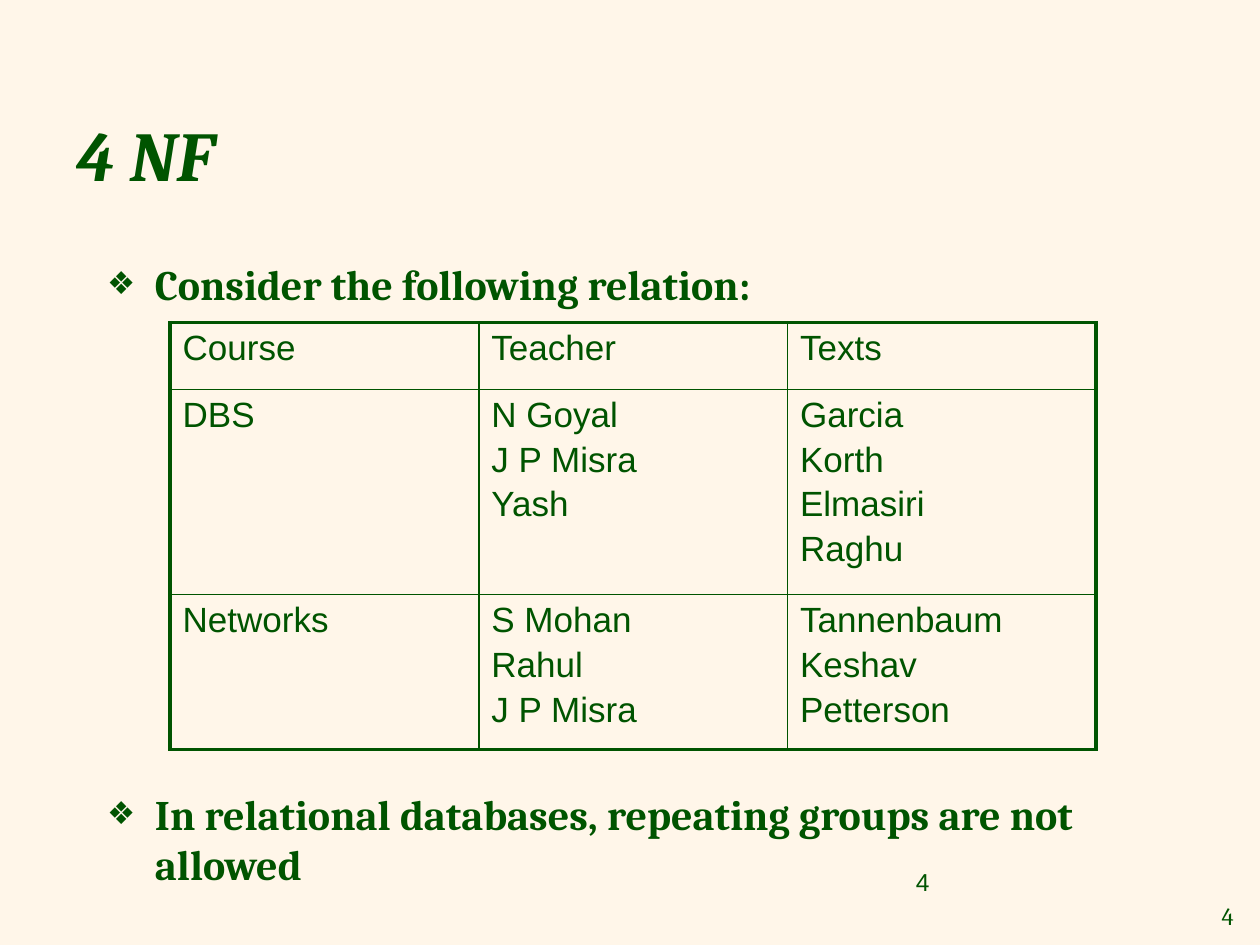
import pptx
import pptx.util
import pptx.dml.color
import pptx.enum.text
import pptx.oxml
import pptx.oxml.ns

Inches = pptx.util.Inches
Pt = pptx.util.Pt
GREEN = pptx.dml.color.RGBColor(0x00, 0x54, 0x00)
CREAM = pptx.dml.color.RGBColor(0xFF, 0xF6, 0xE9)
ALIGN = pptx.enum.text.PP_ALIGN
ANCHOR = pptx.enum.text.MSO_ANCHOR
NAMESPACE = pptx.oxml.ns.nsdecls("a")

RELATION = [
    [["Course"], ["Teacher"], ["Texts"]],
    [["DBS"], ["N Goyal", "J P Misra", "Yash"],
     ["Garcia", "Korth", "Elmasiri", "Raghu"]],
    [["Networks"], ["S Mohan", "Rahul", "J P Misra"],
     ["Tannenbaum", "Keshav", "Petterson"]],
]


class SlideBuilder:
    heading_font = "Cambria"
    plain_font = "Arial"
    thin, thick = Pt(1), Pt(2.25)

    def __init__(self, deck):
        self.page = deck.slides.add_slide(deck.slide_layouts[1])
        self.page.background.fill.solid()
        self.page.background.fill.fore_color.rgb = CREAM

    def style(self, para, size, name, bold=False, italic=False):
        for span in para.runs:
            font = span.font
            font.size, font.name = Pt(size), name
            font.bold, font.italic = bold, italic
            font.color.rgb = GREEN

    def place(self, box, left, top, width, height, anchor):
        box.left, box.top = Inches(left), Inches(top)
        box.width, box.height = Inches(width), Inches(height)
        frame = box.text_frame
        frame.word_wrap = True
        frame.auto_size = pptx.enum.text.MSO_AUTO_SIZE.NONE
        frame.vertical_anchor = anchor
        return frame

    def title(self, text, *bounds):
        frame = self.place(self.page.shapes.title, *bounds, ANCHOR.MIDDLE)
        frame.text = text
        frame.paragraphs[0].alignment = ALIGN.LEFT
        self.style(frame.paragraphs[0], 40, self.heading_font, True, True)

    def bullets(self, lines, gap, *bounds):
        frame = self.place(self.page.placeholders[1], *bounds, ANCHOR.TOP)
        frame.text = "\n".join(lines)
        for number, para in enumerate(frame.paragraphs):
            properties = para._p.get_or_add_pPr()
            properties.set("marL", str(Inches(0.38)))
            properties.set("indent", str(-Inches(0.38)))
            for xml in (f'<a:buClr {NAMESPACE}><a:srgbClr val="{GREEN}"/></a:buClr>',
                        f'<a:buSzPct {NAMESPACE} val="75000"/>',
                        f'<a:buChar {NAMESPACE} char="❖"/>'):
                properties.append(pptx.oxml.parse_xml(xml))
            para.space_before = Pt(gap if number else 0)
            self.style(para, 24, self.heading_font, bold=True)

    def border(self, cell, side, width):
        cell._tc.get_or_add_tcPr().append(pptx.oxml.parse_xml(
            f'<a:ln{side} {NAMESPACE} w="{width}"><a:solidFill>'
            f'<a:srgbClr val="{GREEN}"/></a:solidFill></a:ln{side}>'))

    def table(self, rows, left, top, column_width, row_heights):
        last_row, last_column = len(rows) - 1, len(rows[0]) - 1
        grid = self.page.shapes.add_table(
            len(rows), len(rows[0]), Inches(left), Inches(top),
            Inches(column_width * len(rows[0])), Inches(sum(row_heights))).table
        grid.first_row = grid.horz_banding = False
        for column in grid.columns:
            column.width = Inches(column_width)
        for r, (row, height) in enumerate(zip(rows, row_heights)):
            grid.rows[r].height = Inches(height)
            for c, names in enumerate(row):
                cell = grid.cell(r, c)
                # Thick lines only around the outside
                outside = {"L": c == 0, "R": c == last_column,
                           "T": r == 0, "B": r == last_row}
                for side, outer in outside.items():
                    self.border(cell, side, self.thick if outer else self.thin)
                cell.fill.background()
                cell.text_frame.text = "\n".join(names)
                for number, para in enumerate(cell.text_frame.paragraphs):
                    para.space_before = Pt(3.3 if number else 0)
                    self.style(para, 20, self.plain_font)

    def label(self, text, font, align, anchor, *bounds):
        box = self.page.shapes.add_textbox(0, 0, 0, 0)
        frame = self.place(box, *bounds, anchor)
        frame.text = text
        frame.paragraphs[0].alignment = align
        self.style(frame.paragraphs[0], 14, font)


def main():
    deck = pptx.Presentation()
    deck.slide_width, deck.slide_height = Inches(10), Inches(7.5)
    slide = SlideBuilder(deck)

    # Title and statements, with room between them for the table
    slide.title("4 NF", 0.5, 0.89, 9, 0.66)
    slide.bullets(["Consider the following relation:",
                   "In relational databases, repeating groups are not allowed"],
                  274, 0.75, 2, 9, 0.67)

    # Relation with repeating groups
    slide.table(RELATION, 1.35, 2.56, 2.45, [0.53, 1.63, 1.23])

    # Page numbers
    slide.label("4", slide.plain_font, ALIGN.LEFT, ANCHOR.TOP, 7.17, 6.83, 2.33, 0.52)
    slide.label("4", slide.heading_font, ALIGN.RIGHT, ANCHOR.MIDDLE, 9.45, 7.1, 0.44, 0.33)

    deck.save("out.pptx")


if __name__ == "__main__":
    main()
